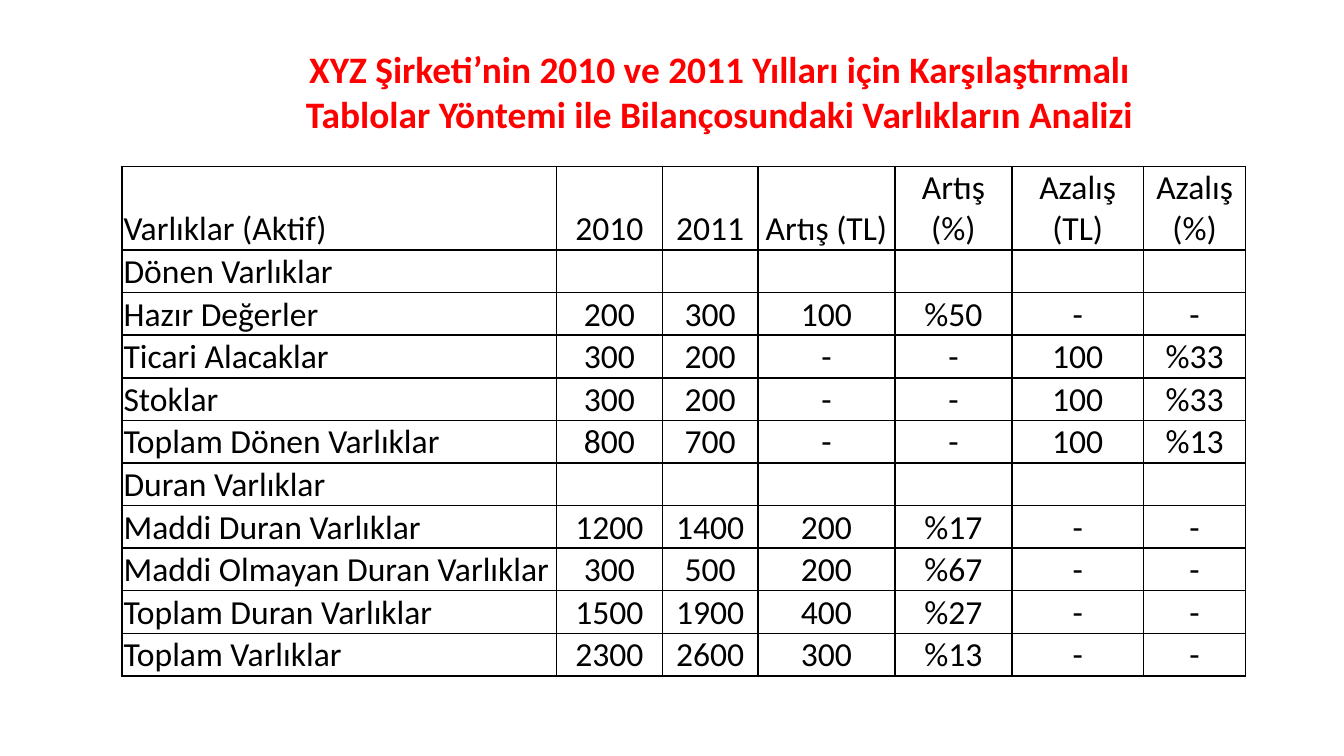
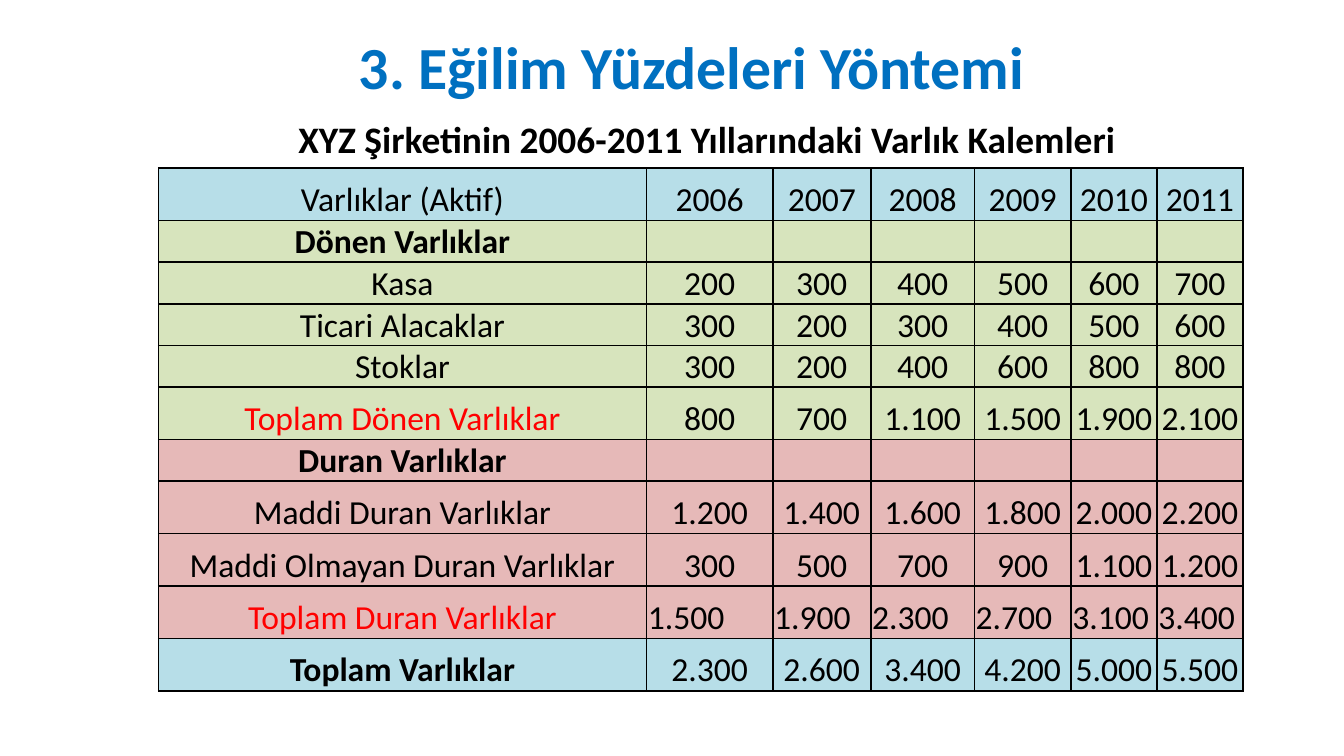
from lxml import etree
from pptx import Presentation
from pptx.dml.color import RGBColor
from pptx.enum import text
from pptx.oxml import ns
from pptx.util import Inches, Pt

THEME = {
    "font": "Calibri",
    "black": "000000", "red": "FF0000", "blue": "0070C0",
    "sky": "B7DEE8", "green": "D7E4BD", "rose": "E6B9B8",
    "heading": 32, "title": 20, "cell": 18, "border": 1,
}
LEFT, CENTER = text.PP_ALIGN.LEFT, text.PP_ALIGN.CENTER
EMPTY = [""] * 6

COMPARISON_TITLE = [
    "XYZ Şirketi’nin 2010 ve 2011 Yılları için Karşılaştırmalı",
    "Tablolar Yöntemi ile Bilançosundaki Varlıkların Analizi",
]
COMPARISON_COLUMNS = [3.23, 0.79, 0.71, 1.02, 0.87, 0.98, 0.76]
COMPARISON_HEIGHT, COMPARISON_HEADER = 3.79, 0.62
COMPARISON = [
    ["Varlıklar (Aktif)", "2010", "2011", "Artış (TL)", "Artış (%)", "Azalış (TL)", "Azalış (%)"],
    ["Dönen Varlıklar", *EMPTY],
    ["Hazır Değerler", "200", "300", "100", "%50", "-", "-"],
    ["Ticari Alacaklar", "300", "200", "-", "-", "100", "%33"],
    ["Stoklar", "300", "200", "-", "-", "100", "%33"],
    ["Toplam Dönen Varlıklar", "800", "700", "-", "-", "100", "%13"],
    ["Duran Varlıklar", *EMPTY],
    ["Maddi Duran Varlıklar", "1200", "1400", "200", "%17", "-", "-"],
    ["Maddi Olmayan Duran Varlıklar", "300", "500", "200", "%67", "-", "-"],
    ["Toplam Duran Varlıklar", "1500", "1900", "400", "%27", "-", "-"],
    ["Toplam Varlıklar", "2300", "2600", "300", "%13", "-", "-"],
]

TREND_TITLE = "3. Eğilim Yüzdeleri Yöntemi"
TREND_SUBTITLE = "XYZ Şirketinin 2006-2011 Yıllarındaki Varlık Kalemleri"
TREND_COLUMNS = [3.63, 0.94, 0.73, 0.77, 0.72, 0.64, 0.64]
LOW, TALL = 0.28, 0.39
PLAIN, BOLD, RED = {}, {"bold": True}, {"color": "red"}
# Each row: cells, fill, height, format of the label
TREND = [
    (["Varlıklar (Aktif)", "2006", "2007", "2008", "2009", "2010", "2011"], "sky", TALL, PLAIN),
    (["Dönen Varlıklar", *EMPTY], "green", LOW, BOLD),
    (["Kasa", "200", "300", "400", "500", "600", "700"], "green", LOW, PLAIN),
    (["Ticari Alacaklar", "300", "200", "300", "400", "500", "600"], "green", LOW, PLAIN),
    (["Stoklar", "300", "200", "400", "600", "800", "800"], "green", LOW, PLAIN),
    (["Toplam Dönen Varlıklar", "800", "700", "1.100", "1.500", "1.900", "2.100"],
     "green", TALL, RED),
    (["Duran Varlıklar", *EMPTY], "rose", LOW, BOLD),
    (["Maddi Duran Varlıklar", "1.200", "1.400", "1.600", "1.800", "2.000", "2.200"],
     "rose", TALL, PLAIN),
    (["Maddi Olmayan Duran Varlıklar", "300", "500", "700", "900", "1.100", "1.200"],
     "rose", TALL, PLAIN),
    (["Toplam Duran Varlıklar", "1.500", "1.900", "2.300", "2.700", "3.100", "3.400"],
     "rose", TALL, RED),
    (["Toplam Varlıklar", "2.300", "2.600", "3.400", "4.200", "5.000", "5.500"],
     "sky", TALL, BOLD),
]
LEFT_ALIGNED_TOTALS = 9


def color_of(name):
    return RGBColor.from_string(THEME[name])


def write(frame, lines, size="cell", color="black", bold=False, align=CENTER):
    for index, line in enumerate(lines):
        para = frame.paragraphs[0] if index == 0 else frame.add_paragraph()
        para.alignment = align
        if line:
            span = para.add_run()
            span.text = line
            span.font.name = THEME["font"]
            span.font.size = Pt(THEME[size])
            span.font.bold = bold
            span.font.color.rgb = color_of(color)


def place(box, left, top, width, height, wrap=True, anchor=text.MSO_ANCHOR.MIDDLE):
    box.left, box.top, box.width, box.height = map(Inches, (left, top, width, height))
    frame = box.text_frame
    frame.word_wrap = wrap
    frame.auto_size = text.MSO_AUTO_SIZE.SHAPE_TO_FIT_TEXT
    frame.vertical_anchor = anchor
    return frame


def draw_borders(cell):
    """Put the cell's four border lines ahead of its fill, as the schema asks."""
    properties = cell._tc.get_or_add_tcPr()
    for position, side in enumerate(("lnL", "lnR", "lnT", "lnB")):
        line = etree.Element(ns.qn(f"a:{side}"), w=str(Pt(THEME["border"])))
        fill = etree.SubElement(line, ns.qn("a:solidFill"))
        etree.SubElement(fill, ns.qn("a:srgbClr"), val=THEME["black"])
        properties.insert(position, line)


def format_cell(cell, content, fill=None, **style):
    cell.margin_left = cell.margin_right = cell.margin_top = Inches(0.01)
    cell.margin_bottom = 0
    cell.vertical_anchor = text.MSO_ANCHOR.BOTTOM
    if fill:
        cell.fill.solid()
        cell.fill.fore_color.rgb = color_of(fill)
    else:
        cell.fill.background()
    draw_borders(cell)
    write(cell.text_frame, [content], **style)


def add_grid(page, left, top, widths, heights):
    table = page.shapes.add_table(
        len(heights), len(widths), Inches(left), Inches(top),
        Inches(sum(widths)), Inches(sum(heights))).table
    table.first_row = table.horz_banding = False
    for column, width in zip(table.columns, widths):
        column.width = Inches(width)
    for row, height in zip(table.rows, heights):
        row.height = Inches(height)
    return table


def build_comparison(page):
    write(place(page.shapes.title, 1.85, 0.29, 7.01, 0.77), COMPARISON_TITLE,
          size="title", color="red", bold=True)
    body_rows = len(COMPARISON) - 1
    row_height = (COMPARISON_HEIGHT - COMPARISON_HEADER) / body_rows
    table = add_grid(page, 0.91, 1.24, COMPARISON_COLUMNS,
                     [COMPARISON_HEADER] + [row_height] * body_rows)
    for r, row in enumerate(COMPARISON):
        for c, content in enumerate(row):
            format_cell(table.cell(r, c), content, align=CENTER if c else LEFT)


def build_trend(page):
    write(place(page.shapes.title, 2.57, 0.17, 5.3, 0.64, wrap=False,
                anchor=text.MSO_ANCHOR.TOP),
          [TREND_TITLE], size="heading", color="blue", bold=True, align=LEFT)
    subtitle = place(page.shapes.add_textbox(0, 0, 0, 0), 1.68, 0.81, 6.77, 0.44, wrap=False)
    subtitle.margin_left = Inches(0.54)
    write(subtitle, [TREND_SUBTITLE], size="title", bold=True, align=text.PP_ALIGN.JUSTIFY)

    table = add_grid(page, 1.18, 1.25, TREND_COLUMNS, [height for _, _, height, _ in TREND])
    for r, (row, fill, _, label_style) in enumerate(TREND):
        for c, content in enumerate(row):
            style = label_style if c == 0 else PLAIN
            align = LEFT if c and r == LEFT_ALIGNED_TOTALS else CENTER
            format_cell(table.cell(r, c), content, fill=fill, align=align, **style)


def main():
    deck = Presentation()
    deck.slide_width = Inches(10)
    deck.slide_height = deck.slide_width * 9 // 16
    title_only = deck.slide_layouts[5]
    for build in (build_comparison, build_trend):
        build(deck.slides.add_slide(title_only))
    deck.save("out.pptx")


if __name__ == "__main__":
    main()
